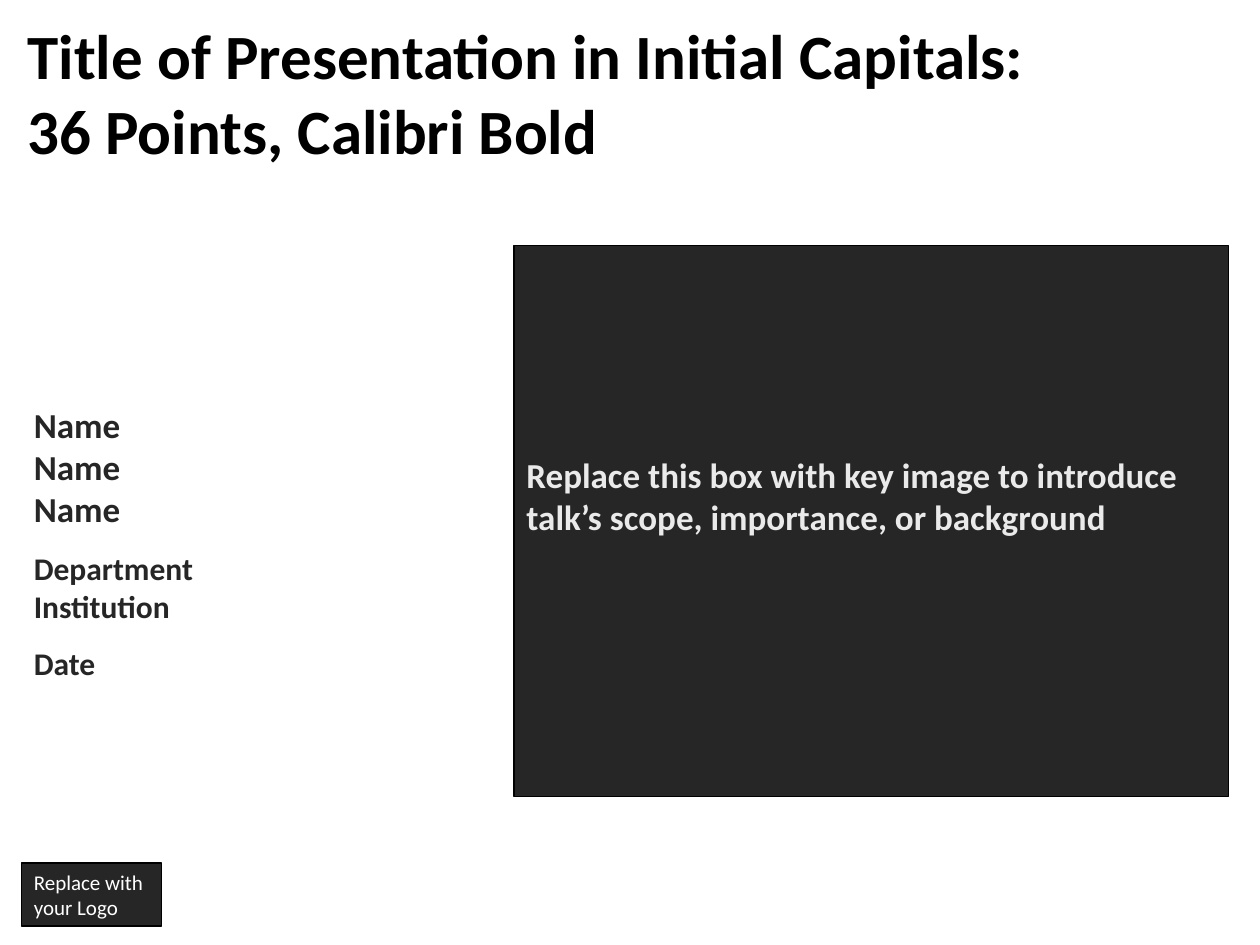
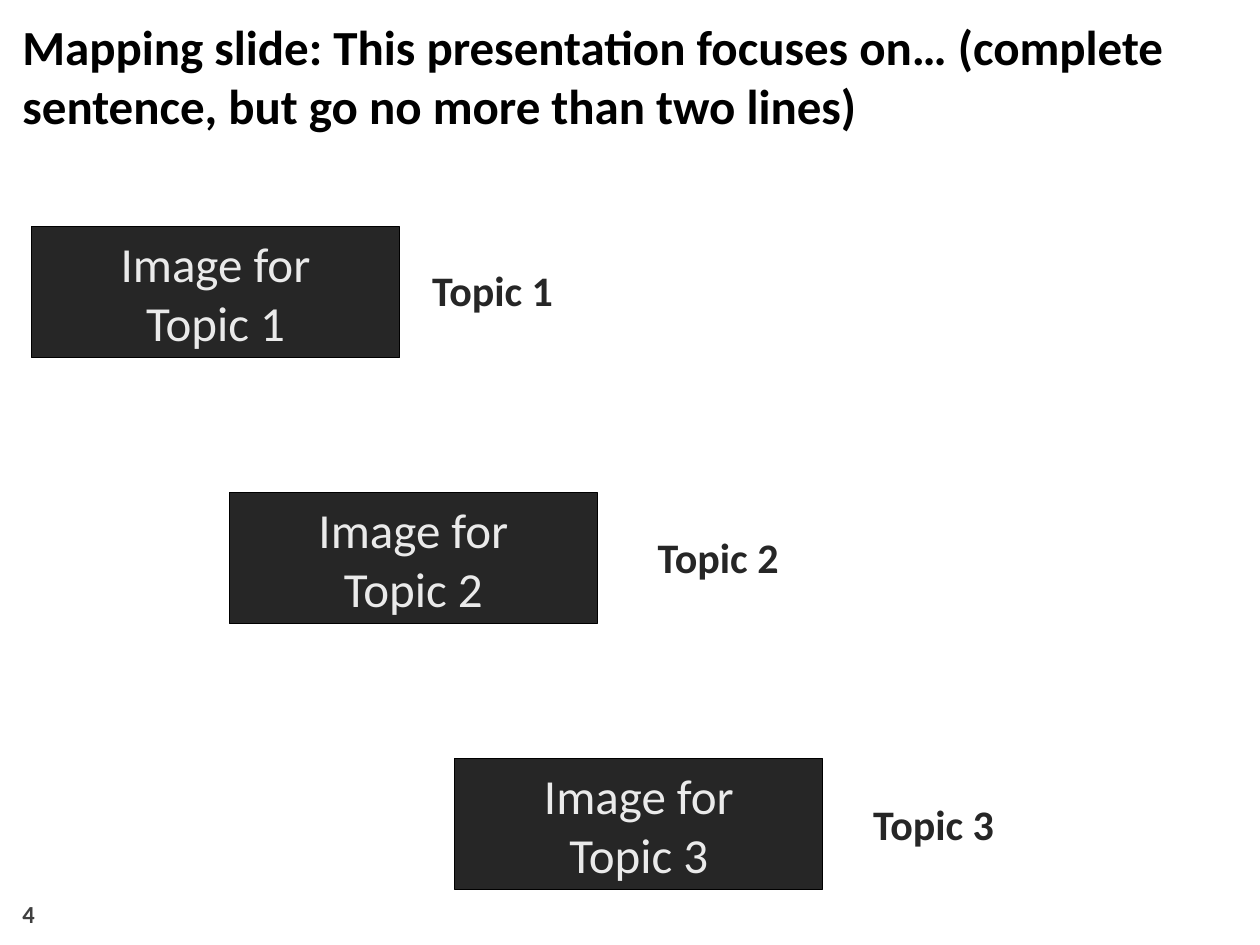
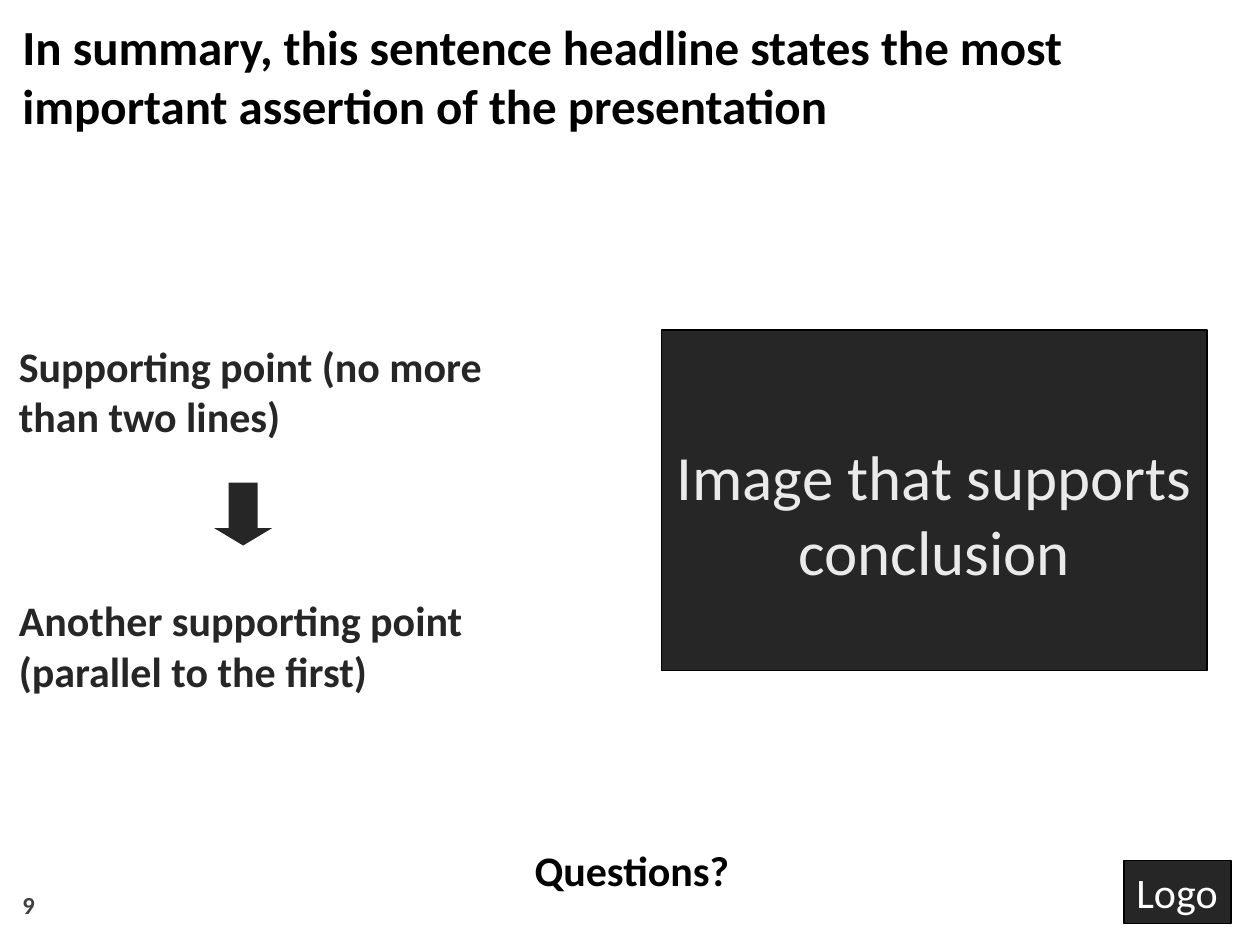
"""Build a three-slide talk template: title, mapping and summary."""
import dataclasses

import pptx
import pptx.dml.color
import pptx.enum.shapes
import pptx.enum.text
import pptx.util

Inches = pptx.util.Inches
Pt = pptx.util.Pt
Shape = pptx.enum.shapes.MSO_SHAPE
Align = pptx.enum.text.PP_ALIGN
Anchor = pptx.enum.text.MSO_ANCHOR


@dataclasses.dataclass(frozen=True)
class Theme:
    face: str = "Calibri"
    black: str = "000000"
    dark: str = "262626"
    gray: str = "404040"
    pale: str = "EAEAEA"
    white: str = "FFFFFF"
    huge: int = 36
    head: int = 28
    body: int = 24
    name: int = 20
    place: int = 18
    page: int = 14
    tiny: int = 12
    edge: float = 0.75


T = Theme()
PAD = (0.1, 0.05, 0.1, 0.05)
SLIM = (0.07, 0.03, 0.07, 0.03)

TITLE = ["Title of Presentation in Initial Capitals:", "36 Points, Calibri Bold"]
PEOPLE = [
    ("Name", T.name, 0),
    ("Name", T.name, 0),
    ("Name", T.name, 0),
    ("Department", T.place, 11.2),
    ("Institution", T.place, 0),
    ("Date", T.place, 11.2),
]
HINT = "Replace this box with key image to introduce talk’s scope, importance, or background"
LOGO = ["Replace with", "your Logo"]

MAP_HEAD = "Mapping slide: This presentation focuses on… (complete sentence, but go no more than two lines)"
TOPICS = [("Topic 1", 0.25, 3.36), ("Topic 2", 1.82, 5.15), ("Topic 3", 3.61, 6.86)]

SUM_HEAD = "In summary, this sentence headline states the most important assertion of the presentation"
POINTS = [
    ("Supporting point (no more than two lines)", T.body, 0),
    ("Another supporting point (parallel to the first)", T.body, 88),
]


def paint(color, tint):
    color.rgb = pptx.dml.color.RGBColor.from_string(tint)


def write(shape, lines, size, tint, bold=False, align=Align.LEFT,
          anchor=Anchor.TOP, pad=PAD, wrap=True):
    frame = shape.text_frame
    left, top, right, base = map(Inches, pad)
    form = {
        "margin_left": left, "margin_top": top,
        "margin_right": right, "margin_bottom": base,
        "word_wrap": wrap, "vertical_anchor": anchor,
        "auto_size": pptx.enum.text.MSO_AUTO_SIZE.NONE,
    }
    for key, value in form.items():
        setattr(frame, key, value)
    for i, line in enumerate(lines):
        text, points, gap = line if isinstance(line, tuple) else (line, size, 0)
        para = frame.add_paragraph() if i else frame.paragraphs[0]
        para.alignment = align
        if gap:
            para.space_before = Pt(gap)
        run = para.add_run()
        run.text = text
        for key, value in {"name": T.face, "size": Pt(points), "bold": bold}.items():
            setattr(run.font, key, value)
        paint(run.font.color, tint)


def label(slide, spot, lines, size, tint, **form):
    box = slide.shapes.add_textbox(*map(Inches, spot))
    write(box, lines, size, tint, bold=True, **form)


def block(slide, spot, kind=Shape.RECTANGLE, edge=True):
    shape = slide.shapes.add_shape(kind, *map(Inches, spot))
    shape.shadow.inherit = False
    shape.fill.solid()
    paint(shape.fill.fore_color, T.dark)
    if edge:
        paint(shape.line.color, T.black)
        shape.line.width = Pt(T.edge)
    else:
        shape.line.fill.background()
    return shape


def panel(slide, spot, lines, size, **form):
    form = {"tint": T.pale, "align": Align.CENTER, "anchor": Anchor.MIDDLE, **form}
    write(block(slide, spot), lines, size, **form)


def badge(slide, spot, lines, size):
    panel(slide, spot, lines, size, tint=T.white, align=Align.LEFT,
          anchor=Anchor.TOP, wrap=False)


def frame_up(slide, head, page, top):
    label(slide, (0.08, 0.08, 9.87, 1.04), [head], T.head, T.black)
    label(slide, (0.08, top, 2.33, 0.4), [page], T.page, T.gray, anchor=Anchor.BOTTOM)


def open_talk(slide):
    label(slide, (0.12, 0.08, 8.13, 1.3), TITLE, T.huge, T.black, wrap=False)
    label(slide, (0.17, 3.17, 3.67, 2.27), PEOPLE, T.name, T.dark, pad=(0.1, 0.03, 0.1, 0.03))
    panel(slide, (4.08, 1.95, 5.67, 4.37), [HINT], T.name, bold=True,
          align=Align.LEFT, pad=(0.1, 0.05, 0.1, 0.45))
    badge(slide, (0.17, 6.85, 1.11, 0.5), LOGO, T.tiny)


def map_talk(slide):
    frame_up(slide, MAP_HEAD, "4", 7.02)
    for i, (topic, left, side) in enumerate(TOPICS):
        panel(slide, (left, 1.8 + 2.11 * i, 2.92, 1.04), ["Image for", topic], T.head)
        label(slide, (side, 2.07 + 2.12 * i, 1.3, 0.46), [topic], T.body, T.dark, pad=SLIM)


def close_talk(slide):
    frame_up(slide, SUM_HEAD, "9", 6.95)
    label(slide, (0.08, 2.67, 4.17, 2.86), POINTS, T.body, T.dark, pad=SLIM)
    arrow = block(slide, (1.7, 3.83, 0.46, 0.5), Shape.DOWN_ARROW, edge=False)
    arrow.adjustments[1] = 0.3
    panel(slide, (5.25, 2.62, 4.33, 2.7), ["Image that supports conclusion"], T.huge,
          pad=(0.1, 0.25, 0.1, 0.05))
    label(slide, (4.14, 6.65, 1.75, 0.5), ["Questions?"], T.body, T.black,
          align=Align.CENTER, wrap=False)
    badge(slide, (8.92, 6.83, 0.85, 0.5), ["Logo"], T.body)


def main():
    deck = pptx.Presentation()
    deck.slide_width, deck.slide_height = Inches(10), Inches(7.5)
    for build in (open_talk, map_talk, close_talk):
        build(deck.slides.add_slide(deck.slide_layouts[6]))
    deck.save("out.pptx")


if __name__ == "__main__":
    main()
